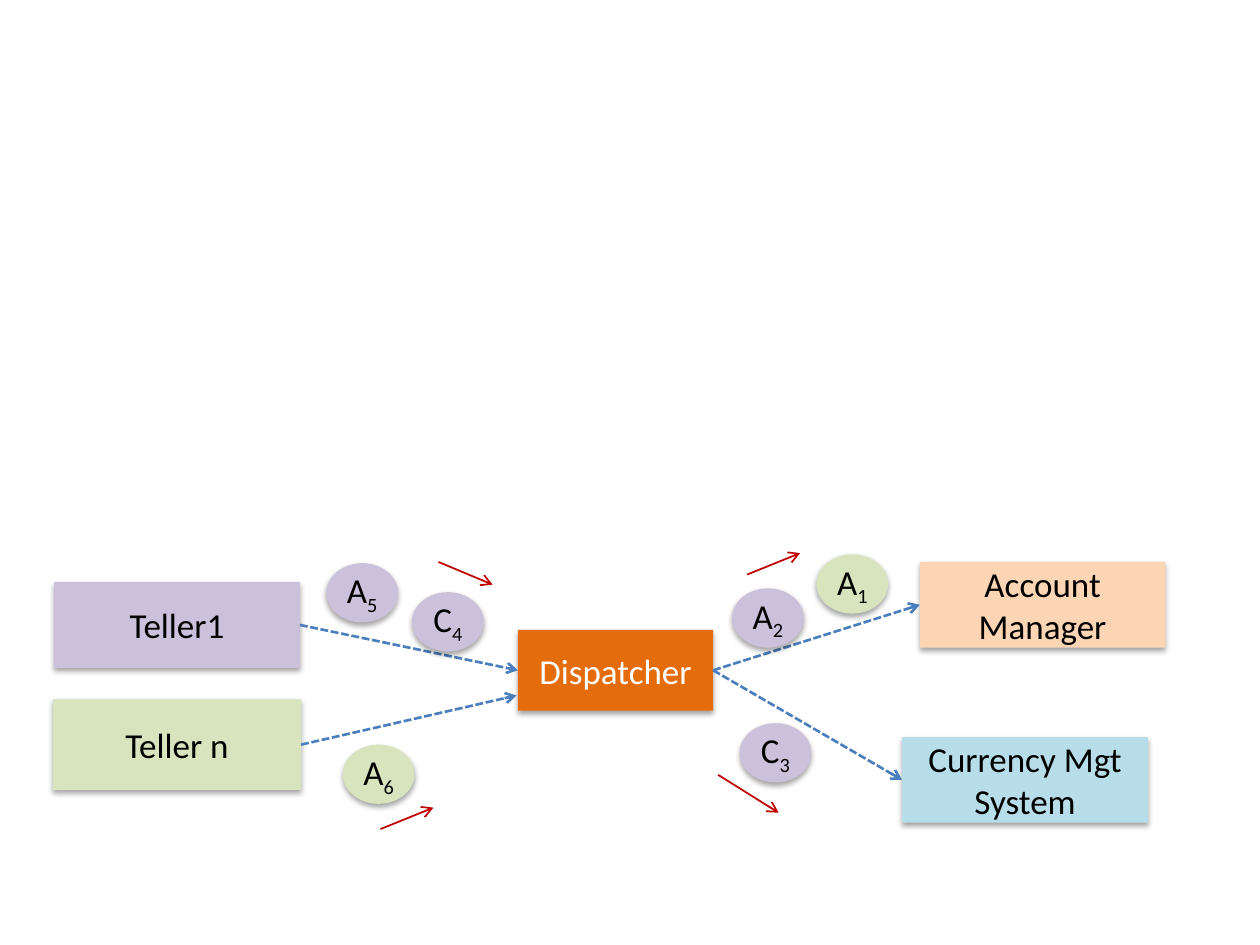
from lxml.etree import SubElement
from pptx import Presentation
from pptx.dml.color import RGBColor
from pptx.enum.dml import MSO_LINE
from pptx.enum.shapes import MSO_CONNECTOR, MSO_SHAPE
from pptx.enum.text import MSO_ANCHOR, PP_ALIGN
from pptx.oxml.ns import qn
from pptx.util import Inches, Pt

COLORS = {
    "orange": "E46C0A", "green": "D7E4BD", "purple": "CCC1DA",
    "peach": "FCD5B5", "aqua": "B7DEE8", "blue": "4B7EBC",
    "red": "C00000", "black": "000000", "white": "FFFFFF",
}
# name: (left, top, width, height, fill, text colour)
BOXES = {
    "Dispatcher": (4.11, 5, 1.55, 0.64, "orange", "white"),
    "Teller n": (0.42, 5.55, 1.97, 0.72, "green", "black"),
    "Teller1": (0.43, 4.62, 1.95, 0.68, "purple", "black"),
    "Account Manager": (7.3, 4.46, 1.95, 0.68, "peach", "black"),
    "Currency Mgt System": (7.16, 5.85, 1.95, 0.68, "aqua", "black"),
}
# from box, to box, end point where it is not the middle of the left side
LINKS = [
    ("Dispatcher", "Account Manager", None),
    ("Teller n", "Dispatcher", (4.1, 5.52)),
    ("Teller1", "Dispatcher", None),
    ("Dispatcher", "Currency Mgt System", None),
]
# letter, number, left, top, fill
MESSAGES = [
    ("C", "4", 3.27, 4.7, "purple"),
    ("A", "5", 2.59, 4.47, "purple"),
    ("A", "6", 2.72, 5.91, "green"),
    ("A", "1", 6.48, 4.4, "green"),
    ("C", "3", 5.87, 5.74, "purple"),
    ("A", "2", 5.81, 4.67, "purple"),
]
MESSAGE_SIZE = (0.57, 0.47)
DIRECTIONS = [
    ((3.48, 4.46), (3.91, 4.64)),
    ((3.02, 6.58), (3.44, 6.41)),
    ((5.93, 4.56), (6.35, 4.39)),
    ((5.7, 6.15), (6.18, 6.45)),
]
LEFT_SITE, RIGHT_SITE = 1, 3


def rgb(name):
    """Look up a named colour."""
    return RGBColor.from_string(COLORS[name])


def add_shadow(shape):
    """Give a shape a soft shadow below it."""
    shape.shadow.inherit = False
    effects = shape._element.spPr.find(qn("a:effectLst"))
    shadow = SubElement(effects, qn("a:outerShdw"), blurRad="40000",
                        dist="23000", dir="5400000", rotWithShape="0")
    color = SubElement(shadow, qn("a:srgbClr"), val=COLORS["black"])
    SubElement(color, qn("a:alpha"), val="35000")


def add_node(page, kind, frame, fill, text, text_color="black"):
    """Add a filled shape with centred text and return it."""
    shape = page.shapes.add_shape(kind, *map(Inches, frame))
    shape.fill.solid()
    shape.fill.fore_color.rgb = rgb(fill)
    shape.line.fill.background()
    add_shadow(shape)
    shape.text_frame.vertical_anchor = MSO_ANCHOR.MIDDLE
    para = shape.text_frame.paragraphs[0]
    para.text = text
    para.alignment = PP_ALIGN.CENTER
    para.font.name, para.font.size = "Calibri", Pt(20)
    para.font.color.rgb = rgb(text_color)
    return shape


def add_message(page, letter, number, left, top, fill):
    """Add a round message mark with a subscript number."""
    shape = add_node(page, MSO_SHAPE.FLOWCHART_CONNECTOR,
                     (left, top, *MESSAGE_SIZE), fill, letter)
    frame = shape.text_frame
    frame.margin_left = frame.margin_right = 0
    frame.margin_top = frame.margin_bottom = 0
    span = frame.paragraphs[0].add_run()
    span.text = number
    span.font._element.set("baseline", "-25000")


def add_arrow(page, start, end, color, width, dash=None):
    """Add a straight line with an open arrowhead and return it."""
    arrow = page.shapes.add_connector(
        MSO_CONNECTOR.STRAIGHT, *map(Inches, (*start, *end)))
    arrow.line.color.rgb = rgb(color)
    arrow.line.width = Pt(width)
    if dash:
        arrow.line.dash_style = dash
    SubElement(arrow.line._get_or_add_ln(), qn("a:tailEnd"), type="arrow")
    SubElement(arrow._element.spPr, qn("a:effectLst"))
    return arrow


def add_link(page, source, target, end):
    """Join two boxes with a dashed arrow."""
    arrow = add_arrow(page, (0, 0), end or (0, 0), "blue", 1.5,
                      MSO_LINE.SQUARE_DOT)
    arrow.begin_connect(source, RIGHT_SITE)
    if end is None:
        arrow.end_connect(target, LEFT_SITE)


deck = Presentation()
deck.slide_width, deck.slide_height = Inches(10), Inches(7.5)
page = deck.slides.add_slide(deck.slide_layouts[6])

boxes = {
    name: add_node(page, MSO_SHAPE.RECTANGLE, frame, fill, name, text_color)
    for name, (*frame, fill, text_color) in BOXES.items()
}
for source, target, end in LINKS:
    add_link(page, boxes[source], boxes[target], end)
for message in MESSAGES:
    add_message(page, *message)
for start, end in DIRECTIONS:
    add_arrow(page, start, end, "red", 1)

deck.save("out.pptx")
